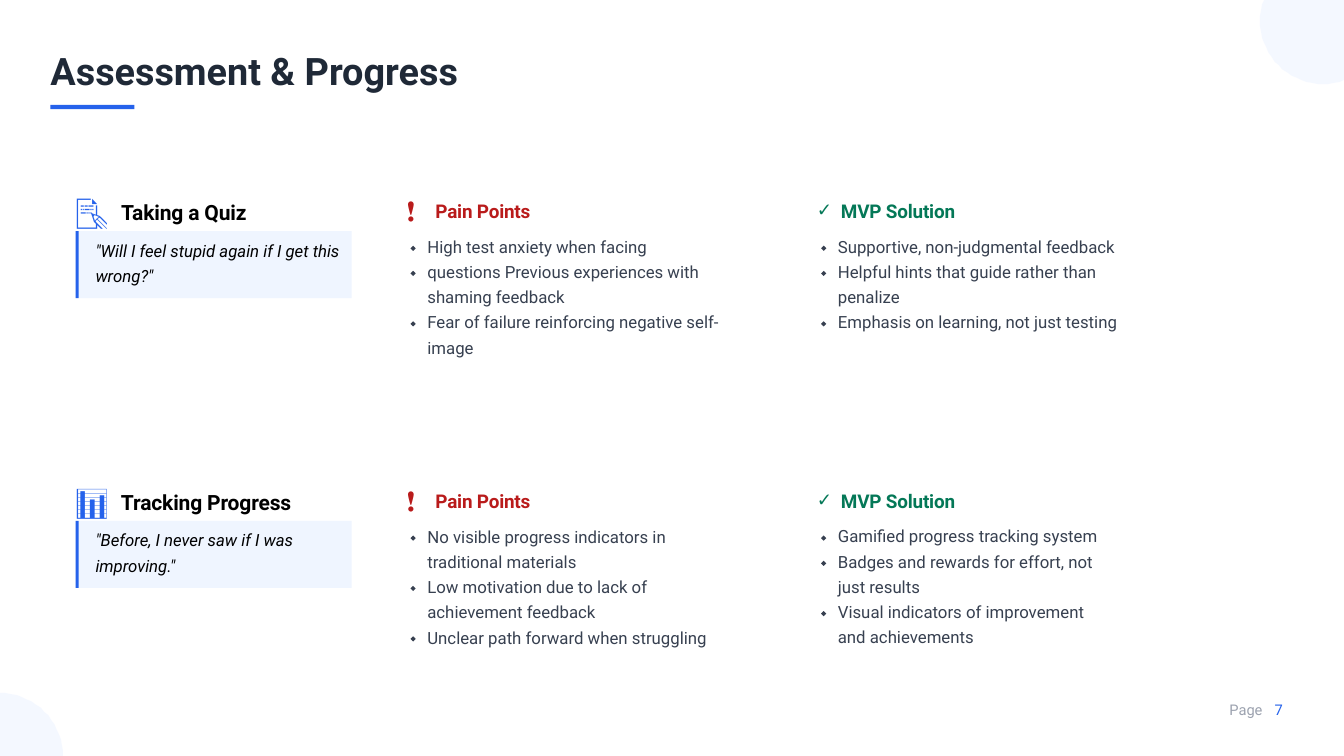
from math import cos, radians, sin

from lxml.etree import SubElement
from pptx import Presentation
from pptx.dml.color import RGBColor
from pptx.enum.shapes import MSO_SHAPE
from pptx.oxml.ns import qn
from pptx.util import Pt

PX = 9525  # EMU per px, 96 px to the inch
WIDTH, HEIGHT = 1280, 720
ROW_PITCH = 276
LINE_PITCH = 24

# Each style: font, size, colour, bold, italic
THEME = {
    "title": ("Roboto", 27, "1F2937", True, False),
    "icon": ("Karla", 39.8, "2562EB", False, False),
    "topic": ("Roboto", 15, "000000", True, False),
    "quote": ("Roboto", 12, "000000", False, True),
    "alert": ("Karla", 16, "B91B1B", False, False),
    "pain": ("Roboto", 13.5, "B91B1B", True, False),
    "solution": ("Roboto", 13.5, "047857", True, False),
    "item": ("Roboto", 12, "374050", False, False),
    "page": ("Roboto", 10.5, "9CA2AF", False, False),
    "number": ("Roboto", 10.5, "2562EB", False, False),
    "accent": "2562EB",
    "quote_fill": "EFF5FF",
    "circle": "F0F6FF",
    "marker": "374050",
}

# The marker lists give the text line on which each item starts
ROWS = [
    {
        "icon": "📝",
        "topic": "Taking a Quiz",
        "quote": '"Will I feel stupid again if I get this wrong?"',
        "pains": ["High test anxiety when facing",
                  "questions Previous experiences with shaming feedback",
                  "Fear of failure reinforcing negative self-image"],
        "pain_markers": [0, 1, 3],
        "solutions": ["Supportive, non-judgmental feedback",
                      "Helpful hints that guide rather than penalize",
                      "Emphasis on learning, not just testing"],
        "solution_markers": [0, 1, 3],
        "solution_width": 289,
    },
    {
        "icon": "📊",
        "topic": "Tracking Progress",
        "quote": '"Before, I never saw if I was improving."',
        "pains": ["No visible progress indicators in traditional materials",
                  "Low motivation due to lack of achievement feedback",
                  "Unclear path forward when struggling"],
        "pain_markers": [0, 2, 4],
        "solutions": ["Gamified progress tracking system",
                      "Badges and rewards for effort, not just results",
                      "Visual indicators of improvement and achievements"],
        "solution_markers": [0, 1, 3],
        "solution_width": 274,
    },
]

deck = Presentation()
deck.slide_width, deck.slide_height = WIDTH * PX, HEIGHT * PX
page = deck.slides.add_slide(deck.slide_layouts[6])


def add_text(left, top, width, height, inset=1):
    box = page.shapes.add_textbox(left * PX, top * PX, width * PX, height * PX)
    frame = box.text_frame
    frame.word_wrap = True
    frame.margin_left = frame.margin_right = frame.margin_bottom = 0
    frame.margin_top = inset * PX
    return frame


def add_span(para, text, style, **attributes):
    span = para.add_run()
    span.text = text
    font = span.font
    font.name, size, color, font.bold, font.italic = THEME[style]
    font.size = Pt(size)
    font.color.rgb = RGBColor.from_string(color)
    for name, value in attributes.items():
        span._r.get_or_add_rPr().set(name, str(value))


# Corner circles, cut at the slide edges
for center_x, center_y in [(1260, 20), (0, 720)]:
    points = [(min(max(center_x + 60 * cos(radians(angle)), 0), WIDTH),
               min(max(center_y + 60 * sin(radians(angle)), 0), HEIGHT))
              for angle in range(0, 360, 5)]
    outline = page.shapes.build_freeform(*points[0], scale=PX)
    outline.add_line_segments(points[1:], close=True)
    circle = outline.convert_to_shape()
    circle.shadow.inherit = False
    circle.line.fill.background()
    circle.fill.solid()
    circle.fill.fore_color.rgb = RGBColor.from_string(THEME["circle"])
    color = circle._element.spPr.find(".//" + qn("a:srgbClr"))
    SubElement(color, qn("a:alpha"), val="70000")

# Title rule, quote panels with accent bars, and list markers
marks = [(MSO_SHAPE.RECTANGLE, 48, 100, 80, 4, "accent")]
for index, row in enumerate(ROWS):
    top = 220 + index * ROW_PITCH
    marks += [(MSO_SHAPE.RECTANGLE, 72, top, 263, 64, "quote_fill"),
              (MSO_SHAPE.RECTANGLE, 72, top, 3, 64, "accent")]
    for left, lines in [(391, row["pain_markers"]), (782, row["solution_markers"])]:
        marks += [(MSO_SHAPE.DIAMOND, left, top + 14 + line * LINE_PITCH, 5, 5, "marker")
                  for line in lines]
for preset, left, top, width, height, fill in marks:
    mark = page.shapes.add_shape(preset, left * PX, top * PX, width * PX, height * PX)
    mark.shadow.inherit = False
    mark.line.fill.background()
    mark.fill.solid()
    mark.fill.fore_color.rgb = RGBColor.from_string(THEME[fill])

# Title
para = add_text(48, 44, 702, 46).paragraphs[0]
para.space_before = Pt(1)
add_span(para, "Assessment & Progress", "title")

for index, row in enumerate(ROWS):
    shift = index * ROW_PITCH

    # Topic with its icon
    para = add_text(71, 155 + shift, 260, 45, inset=2).paragraphs[0]
    para.space_before = Pt(1.2)
    para._p.get_or_add_pPr().set("marL", str(PX))
    add_span(para, row["icon"] + " ", "icon", baseline=-5000, spc=190)
    add_span(para, row["topic"], "topic", spc=-10)

    # Learner quote
    para = add_text(75, 223 + shift, 260, 51).paragraphs[0]
    para.space_before, para.line_spacing = Pt(1), 1.25
    para._p.get_or_add_pPr().set("marL", str(16 * PX))
    add_span(para, row["quote"], "quote")

    # Pain points and solution lists
    pain_frame = add_text(386, 186 + shift, 303, 156)
    para = pain_frame.paragraphs[0]
    para._p.get_or_add_pPr().set("marL", str(PX))
    add_span(para, "❗ ", "alert", spc=520)
    add_span(para, "Pain Points", "pain", spc=-10)

    solution_frame = add_text(777, 189 + shift, row["solution_width"], 152)
    para = solution_frame.paragraphs[0]
    properties = para._p.get_or_add_pPr()
    properties.set("marL", str(24 * PX))
    properties.set("indent", str(-23 * PX))
    SubElement(properties, qn("a:buSzPct"), val="96000")
    SubElement(properties, qn("a:buFont"), typeface="Roboto")
    SubElement(properties, qn("a:buChar"), char="✓")
    add_span(para, "MVP Solution", "solution", spc=-10)

    for frame, items, gap in [(pain_frame, row["pains"], 6),
                              (solution_frame, row["solutions"], 6.5)]:
        frame.paragraphs[0].space_before = Pt(1)
        for number, item in enumerate(items):
            para = frame.add_paragraph()
            para.line_spacing = 1.25
            para.space_before = Pt(0 if number else gap)
            para._p.get_or_add_pPr().set("marL", str(21 * PX))
            add_span(para, item, "item")

# Page number
para = add_text(1170, 667, 60, 18, inset=0).paragraphs[0]
properties = para._p.get_or_add_pPr()
properties.set("marL", str(PX))
tabs = SubElement(properties, qn("a:tabLst"))
SubElement(tabs, qn("a:tab"), pos=str(43 * PX), algn="l")
add_span(para, "Page\t", "page")
add_span(para, "7", "number")

deck.save("out.pptx")
